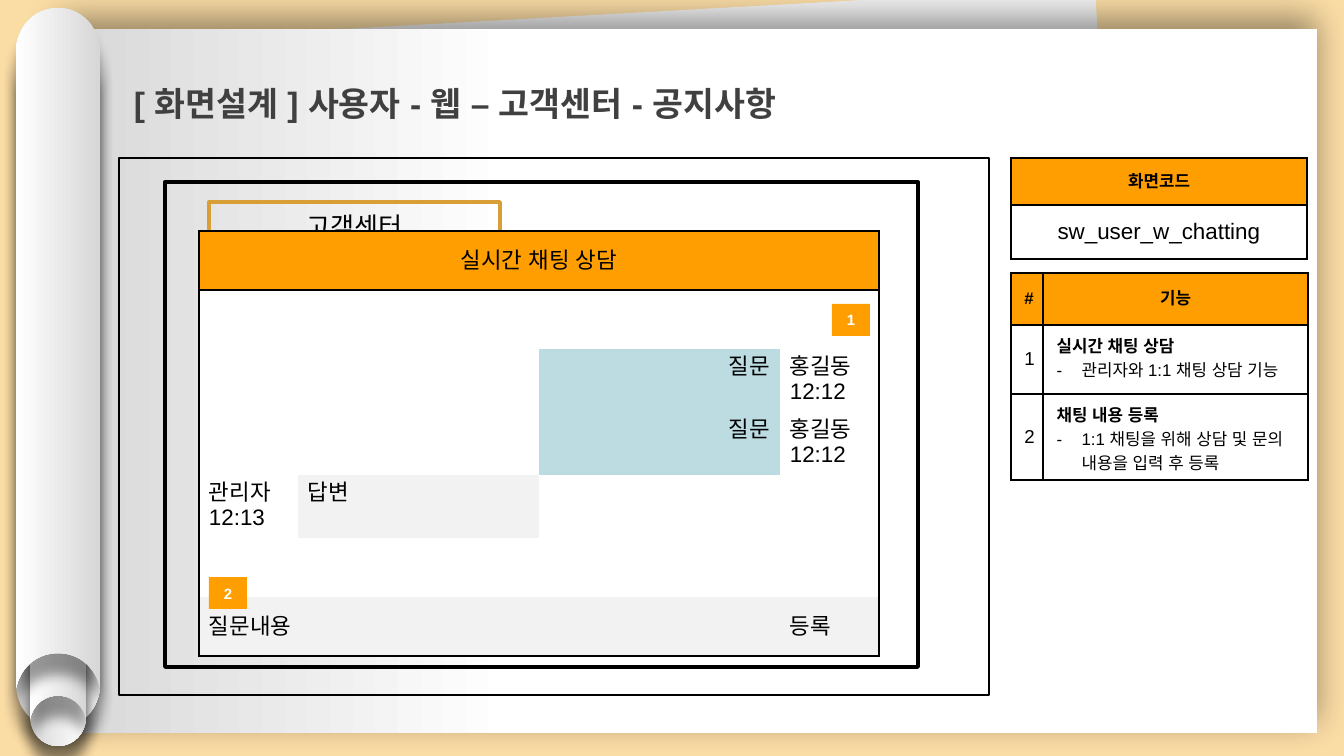
from dataclasses import dataclass

from lxml import etree
from pptx import Presentation
from pptx.dml.color import RGBColor
from pptx.enum.shapes import MSO_SHAPE
from pptx.enum.text import MSO_ANCHOR, PP_ALIGN
from pptx.oxml.ns import qn
from pptx.util import Pt

RECT = MSO_SHAPE.RECTANGLE
TOP, MIDDLE = MSO_ANCHOR.TOP, MSO_ANCHOR.MIDDLE
LEFT, CENTER, RIGHT = PP_ALIGN.LEFT, PP_ALIGN.CENTER, PP_ALIGN.RIGHT
SLIDE_W, SLIDE_H = 1344, 756
SCALE = 914400 * 10 / SLIDE_W
NO_GRID = "{2D5ABB26-0587-4C30-8999-92F81FD0307C}"


@dataclass(frozen=True)
class Theme:
    font: str = "Arial"
    desk: str = "FADCA5"
    sheet: str = "F2F2F2"
    paper: str = "FFFFFF"
    shade: str = "D7D7D7"
    ink: str = "000000"
    heading: str = "404040"
    accent: str = "FF9E00"
    frame: str = "D89F39"
    question: str = "BCDCE1"
    title: int = 18
    menu: int = 14
    body: int = 12
    number: int = 10
    small: int = 9
    badge: int = 8


T = Theme()


def px(n):
    return round(n * SCALE)


def rgb(color):
    return RGBColor.from_string(color)


def write(tf, text, size=T.body, bold=False, color=T.ink, align=LEFT,
          spacing=None, bullet=None):
    """Append one paragraph per line of text."""
    for line in text.split("\n"):
        p = tf.paragraphs[0] if not tf.text else tf.add_paragraph()
        p.alignment = align
        if spacing:
            p.line_spacing = spacing
        if bullet:
            pPr = p._p.get_or_add_pPr()
            pPr.set("marL", str(px(25)))
            pPr.set("indent", str(-px(25)))
            clr = etree.SubElement(pPr, qn("a:buClr"))
            etree.SubElement(clr, qn("a:srgbClr"), val=color)
            etree.SubElement(pPr, qn("a:buFont"), typeface=T.font)
            etree.SubElement(pPr, qn("a:buChar"), char=bullet)
        r = p.add_run()
        r.text = line
        r.font.name = T.font
        r.font.size = Pt(size)
        r.font.bold = bold
        r.font.color.rgb = rgb(color)
        for script in ("a:ea", "a:cs"):
            etree.SubElement(r._r.get_or_add_rPr(), qn(script), typeface=T.font)


def set_margins(obj, bottom=5):
    obj.margin_left = obj.margin_right = px(10)
    obj.margin_top, obj.margin_bottom = px(5), px(bottom)


def paint(sp, fill):
    if fill:
        sp.fill.solid()
        sp.fill.fore_color.rgb = rgb(fill)
    else:
        sp.fill.background()


def blend(sp, *stops):
    """Fill with a gradient running from right to left."""
    sp.fill.gradient()
    sp.fill.gradient_angle = 180
    for stop, (position, color) in zip(sp.fill.gradient_stops, stops):
        stop.position = position
        stop.color.rgb = rgb(color)


def cast_shadow(sp, blur, dist, angle):
    sp.shadow.inherit = False
    effects = sp._element.spPr.find(qn("a:effectLst"))
    shadow = etree.SubElement(
        effects, qn("a:outerShdw"), blurRad=str(Pt(blur)), dist=str(Pt(dist)),
        dir=str(angle * 60000), algn="ctr", rotWithShape="0")
    clr = etree.SubElement(shadow, qn("a:srgbClr"), val=T.ink)
    etree.SubElement(clr, qn("a:alpha"), val="40000")


def set_borders(cell, sides):
    tcPr = cell._tc.get_or_add_tcPr()
    for i, side in enumerate("LRTB"):
        ln = etree.Element(qn("a:ln" + side), w=str(Pt(1)))
        if side in sides:
            solid = etree.SubElement(ln, qn("a:solidFill"))
            etree.SubElement(solid, qn("a:srgbClr"), val=T.ink)
        else:
            etree.SubElement(ln, qn("a:noFill"))
        tcPr.insert(i, ln)


class Page:
    def __init__(self, prs):
        self.slide = prs.slides.add_slide(prs.slide_layouts[5])
        self.shapes = self.slide.shapes
        paint(self.slide.background, T.desk)

    def title(self, text, x, y, w, h):
        sp = self.shapes.title
        sp.left, sp.top, sp.width, sp.height = map(px, (x, y, w, h))
        tf = sp.text_frame
        tf.word_wrap = True
        tf.vertical_anchor = TOP
        set_margins(tf)
        write(tf, text, T.title, True, T.heading, spacing=1.5)

    def box(self, x, y, w, h, fill=None, line=None, weight=1, text="", **fmt):
        sp = self.shapes.add_shape(RECT, *map(px, (x, y, w, h)))
        sp.shadow.inherit = False
        paint(sp, fill)
        if line:
            sp.line.color.rgb = rgb(line)
            sp.line.width = Pt(weight)
        else:
            sp.line.fill.background()
        if text:
            tf = sp.text_frame
            tf.word_wrap = True
            tf.vertical_anchor = MIDDLE
            set_margins(tf)
            write(tf, text, align=CENTER, **fmt)
        return sp

    def roll(self, x, y, w, h, rotation=0):
        """Paper roll: round top, straight sides, hollow bottom."""
        rad = w / 2
        end = h / rad
        half = [(0, 0), (0.57, 0), (1, 0.47), (1, 1.05), (1, end), (0.95, end - 0.16),
                (0.8, end - 0.57), (0.44, end - 0.83), (0, end - 0.83)]
        outline = half + [(-a, b) for a, b in reversed(half[:-1])]
        points = [(px(x + rad + rad * a), px(y + rad * b)) for a, b in outline]
        builder = self.shapes.build_freeform(*points[0], scale=1.0)
        builder.add_line_segments(points[1:], close=True)
        sp = builder.convert_to_shape()
        # Turn the rounded parts into Bezier curves
        lines = list(sp._element.iter(qn("a:lnTo")))
        for i in (0, 5, 8, 13):
            for extra in lines[i + 1:i + 3]:
                lines[i].append(extra[0])
                extra.getparent().remove(extra)
            lines[i].tag = qn("a:cubicBezTo")
        sp.rotation = rotation
        sp.line.fill.background()
        blend(sp, (0, T.shade), (1, T.paper))
        cast_shadow(sp, 7, 11, 90)

    def table(self, x, y, cols, rows):
        frame = self.shapes.add_table(
            len(rows), len(cols), *map(px, (x, y, sum(cols), sum(rows))))
        tbl = frame.table
        tbl.first_row = tbl.horz_banding = False
        tbl._tbl.tblPr.find(qn("a:tableStyleId")).text = NO_GRID
        for col, w in zip(tbl.columns, cols):
            col.width = px(w)
        for row, h in zip(tbl.rows, rows):
            row.height = px(h)
        return tbl

    def cell(self, tbl, row, col, text="", fill=None, anchor=MIDDLE, **fmt):
        cell = tbl.cell(row, col)
        paint(cell, fill)
        cell.vertical_anchor = anchor
        if text:
            write(cell.text_frame, text, **fmt)
        return cell


prs = Presentation()
prs.slide_width, prs.slide_height = px(SLIDE_W), px(SLIDE_H)
page = Page(prs)

# Paper and rolls
page.box(92, 15, 1023, 685, fill=T.sheet).rotation = 356.8
paper = page.box(58, 29, 1259, 704)
blend(paper, (0.64, T.paper), (1, T.shade))
cast_shadow(paper, 18, 6, 270)
for x, y, w, h, rotation in [(16, 48, 84, 680, 180), (30, 290, 56, 456, 180),
                             (30, 263, 56, 456, 0), (16, 8, 84, 680, 0)]:
    page.roll(x, y, w, h, rotation)

# Title, raised above the paper
page.title("[ 화면설계 ] 사용자 - 웹 – 고객센터 - 공지사항", 124, 58, 969, 71)
title = page.shapes.title._element
title.getparent().append(title)

# Screen code
code = page.table(1011, 158, [296], [47, 54])
page.cell(code, 0, 0, "화면코드", T.accent, size=T.small, bold=True, align=CENTER)
page.cell(code, 1, 0, "sw_user_w_chatting", align=CENTER)

# Screen frames
page.box(119, 158, 870, 537, line=T.ink, weight=0.75)
page.box(165, 182, 753, 485, line=T.ink, weight=2)
page.box(209, 202, 291, 48, line=T.frame, weight=2, text="고객센터", size=T.menu)

# Chat window
chat_rows, chat_cols = [59, 59, 63, 63, 63, 59, 59], [99, 241, 241, 99]
chat = page.table(199, 231, chat_cols, chat_rows)
for row, last in [(0, 3), (1, 3), (6, 2)]:
    chat.cell(row, 0).merge(chat.cell(row, last))
asked = {"text": "질문", "fill": T.question, "anchor": TOP, "align": RIGHT}
asker = {"text": "홍길동\n12:12", "anchor": TOP}
chat_cells = {
    (0, 0): {"text": "실시간 채팅 상담", "fill": T.accent, "align": CENTER},
    (2, 2): asked, (2, 3): asker,
    (3, 2): asked, (3, 3): asker,
    (4, 0): {"text": "관리자\n12:13", "anchor": TOP},
    (4, 1): {"text": "답변", "fill": T.sheet, "anchor": TOP},
    (6, 0): {"text": "질문내용", "fill": T.sheet},
    (6, 3): {"text": "등록", "fill": T.sheet},
}
for row in range(len(chat_rows)):
    for col in range(len(chat_cols)):
        style = {"fill": T.paper, **chat_cells.get((row, col), {})}
        cell = page.cell(chat, row, col, **style)
        set_margins(cell, bottom=1 if style.get("anchor") == TOP else 5)
        at_right = col + cell.span_width == len(chat_cols)
        set_borders(cell, ("L" if col == 0 else "") + ("R" if at_right else "")
                    + ("T" if row < 2 else "") + ("B" if row in (0, 6) else ""))

# Function list
functions = page.table(1011, 273, [32, 265], [52, 69, 86])
for col, head in enumerate(["#", "기능"]):
    page.cell(functions, 0, col, head, T.accent, size=T.small, bold=True, align=CENTER)
notes = [("실시간 채팅 상담", "관리자와 1:1 채팅 상담 기능"),
         ("채팅 내용 등록", "1:1 채팅을 위해 상담 및 문의 내용을 입력 후 등록")]
for row, (name, detail) in enumerate(notes, 1):
    page.cell(functions, row, 0, str(row), size=T.number, align=CENTER)
    cell = page.cell(functions, row, 1, name, anchor=TOP, size=T.small, bold=True,
                     spacing=Pt(13))
    write(cell.text_frame, detail, T.small, spacing=Pt(13), bullet="-")
for tbl in (code, functions):
    for cell in tbl.iter_cells():
        set_borders(cell, "LRTB")

# Badges
for number, x, y in [("1", 832, 304), ("2", 209, 577)]:
    page.box(x, y, 38, 32, fill=T.accent, text=number, size=T.badge, bold=True,
             color=T.paper)

prs.save("out.pptx")
